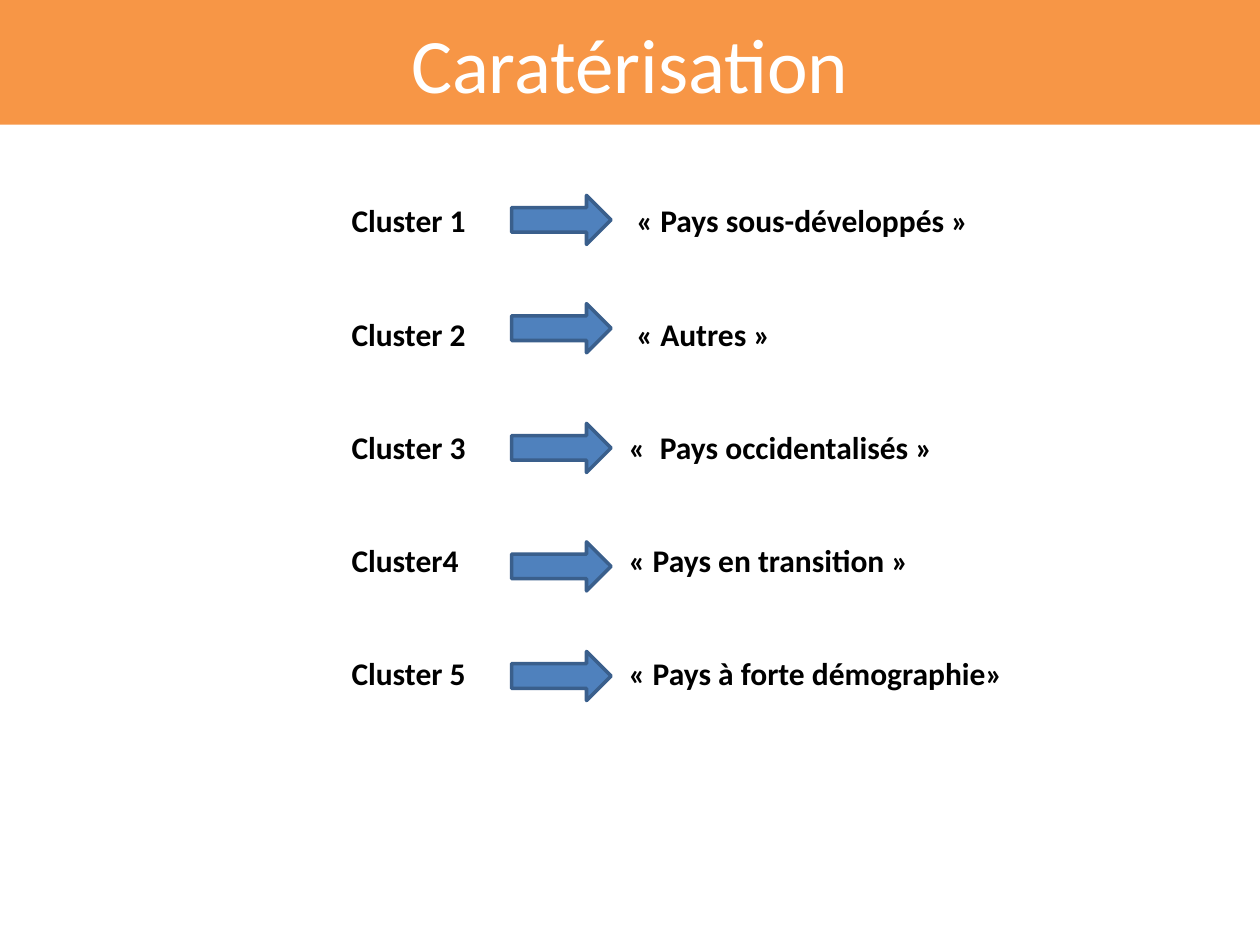
from lxml import etree
from pptx import Presentation
from pptx.dml.color import RGBColor
from pptx.enum.shapes import MSO_SHAPE as SHAPE
from pptx.enum.text import MSO_ANCHOR as ANCHOR, PP_ALIGN as ALIGN
from pptx.oxml.ns import qn
from pptx.util import Inches, Pt

ORANGE = RGBColor(0xF7, 0x96, 0x46)
BLUE = RGBColor(0x4F, 0x81, 0xBD)
DARK_BLUE = RGBColor(0x3A, 0x5F, 0x8C)
WHITE = RGBColor(0xFF, 0xFF, 0xFF)
BLACK = RGBColor(0, 0, 0)
FONT = "Calibri"

# cluster, description, tab stop of the description, top of the arrow
CLUSTERS = [
    ("Cluster 1", "« Pays sous-développés »", 2.26, 1.55),
    ("Cluster 2", "« Autres »", 2.26, 2.41),
    ("Cluster 3", "«  Pays occidentalisés »", 2.2, 3.36),
    ("Cluster4", "« Pays en transition »", 2.2, 4.3),
    ("Cluster 5", "« Pays à forte démographie»", 2.2, 5.17),
]


def set_font(p, size, color, bold=False):
    for r in p.runs:
        r.font.name = FONT
        r.font.size = Pt(size)
        r.font.bold = bold
        r.font.color.rgb = color


def add_filled(slide, kind, left, top, width, height, fill):
    s = slide.shapes.add_shape(kind, Inches(left), Inches(top),
                               Inches(width), Inches(height))
    s.shadow.inherit = False
    s.fill.solid()
    s.fill.fore_color.rgb = fill
    return s


def add_title(slide, text):
    s = add_filled(slide, SHAPE.RECTANGLE, 0, 0, 10, 0.99, ORANGE)
    s.line.fill.background()
    tf = s.text_frame
    tf.text = text
    tf.vertical_anchor = ANCHOR.MIDDLE
    p = tf.paragraphs[0]
    p.alignment = ALIGN.CENTER
    set_font(p, 44, WHITE)


def add_arrow(slide, top):
    s = add_filled(slide, SHAPE.RIGHT_ARROW, 4.06, top, 0.79, 0.39, BLUE)
    s.line.color.rgb = DARK_BLUE
    s.line.width = Pt(2)


def add_tab(p, position):
    tabs = etree.SubElement(p._p.get_or_add_pPr(), qn("a:tabLst"))
    etree.SubElement(tabs, qn("a:tab"), pos=str(Inches(position)), algn="l")


def add_cluster_list(slide):
    box = slide.shapes.add_textbox(Inches(1.22), Inches(1.55),
                                   Inches(8.03), Inches(4.04))
    tf = box.text_frame
    tf.word_wrap = True
    tf.margin_left = Inches(1.57)
    for i, (name, description, tab, _) in enumerate(CLUSTERS):
        p = tf.add_paragraph() if i else tf.paragraphs[0]
        p.text = f"{name}\t{description}"
        add_tab(p, tab)
        if i:
            p.space_before = Pt(43)
        set_font(p, 18, BLACK, bold=True)


def main():
    prs = Presentation()
    prs.slide_width, prs.slide_height = Inches(10), Inches(7.5)
    slide = prs.slides.add_slide(prs.slide_layouts[6])
    add_title(slide, "Caratérisation")
    add_cluster_list(slide)
    for *_, arrow_top in CLUSTERS:
        add_arrow(slide, arrow_top)
    prs.save("out.pptx")


if __name__ == "__main__":
    main()
